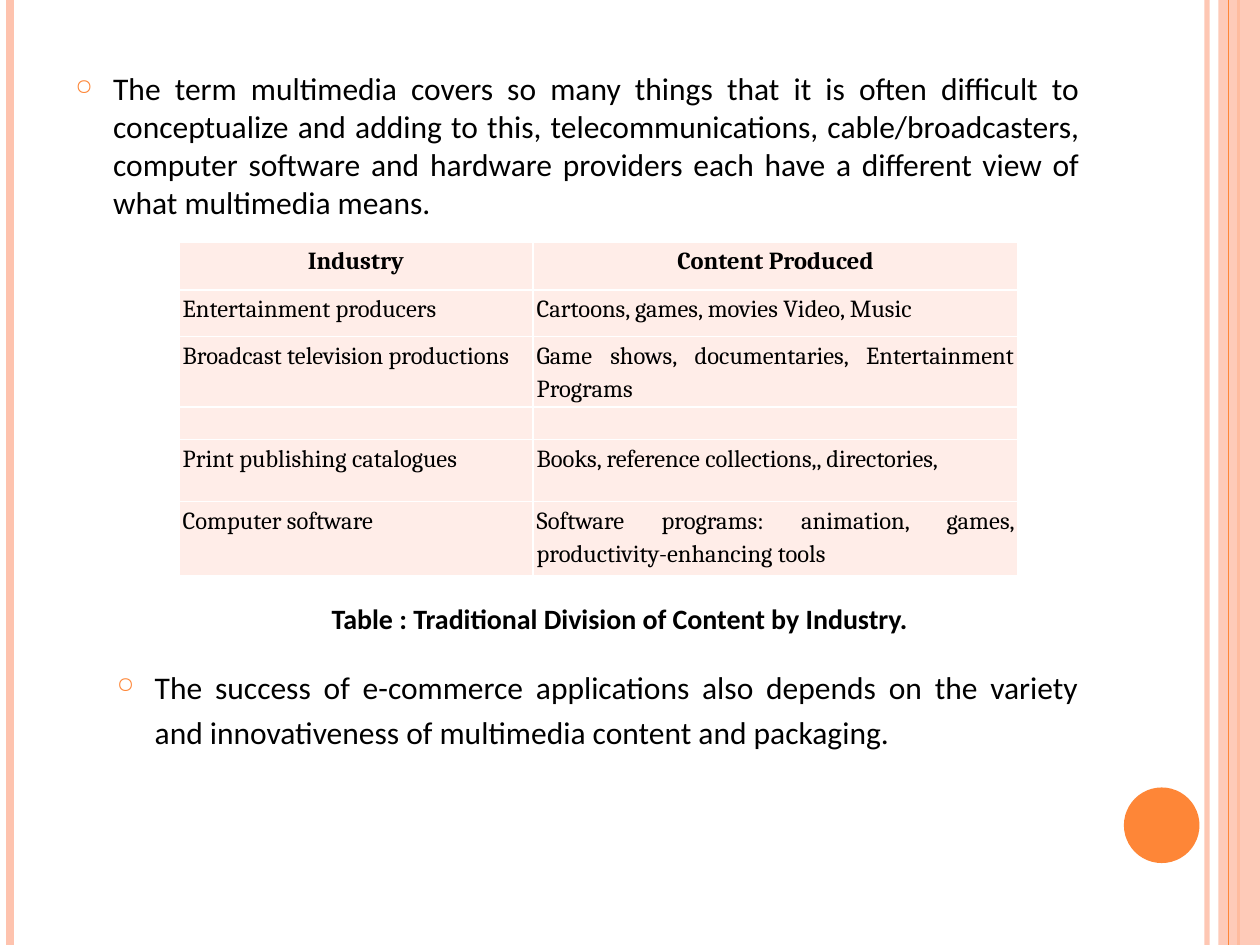
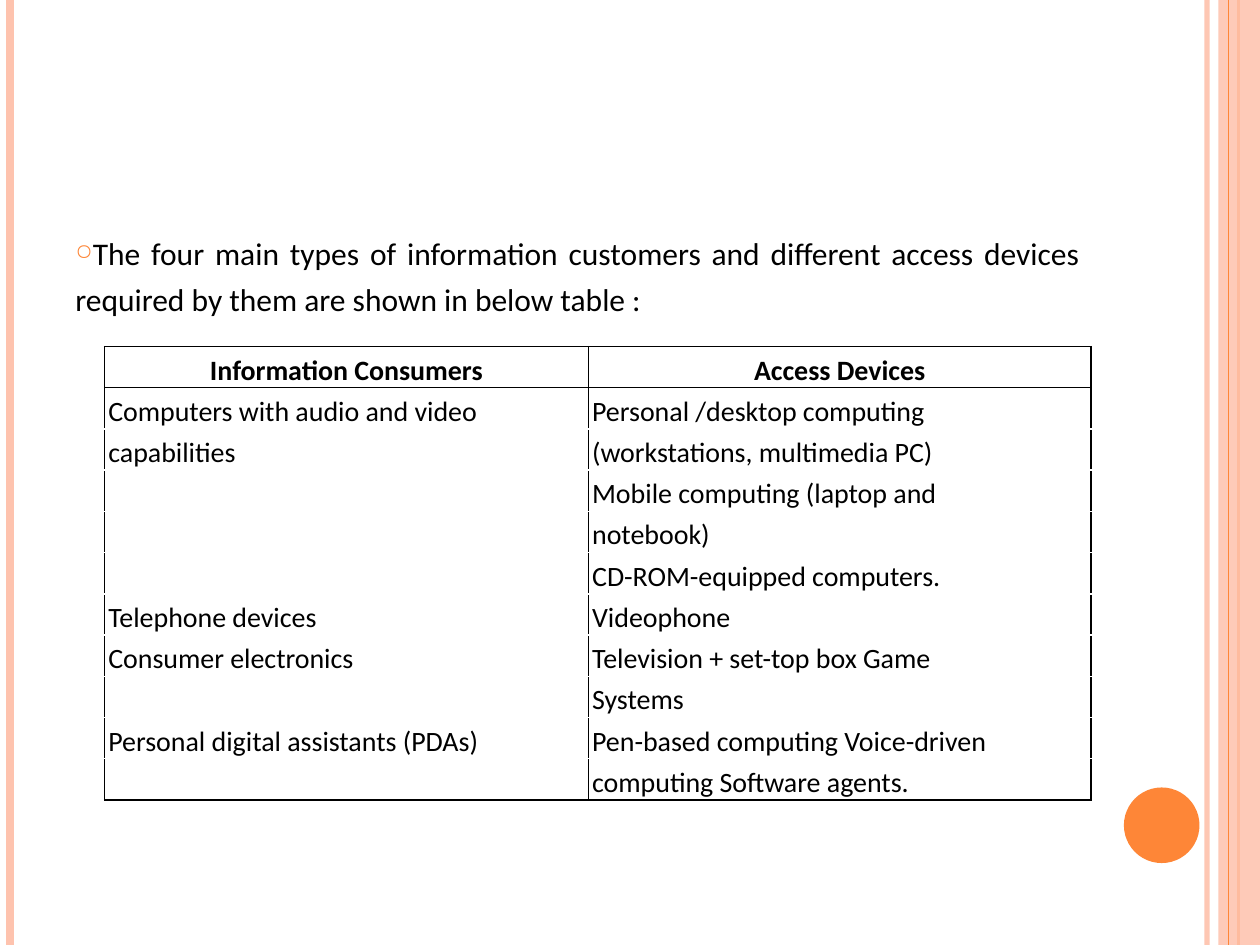
from dataclasses import dataclass
from lxml.etree import SubElement as Sub
from pptx import Presentation
from pptx.dml.color import RGBColor as RGB
from pptx.enum.shapes import MSO_CONNECTOR as Conn, MSO_SHAPE as Shape
from pptx.enum.text import PP_ALIGN as Align
from pptx.oxml.ns import qn
from pptx.util import Inches, Pt


@dataclass(frozen=True)
class Theme:
    peach: str = "FEC3AE"
    orange: str = "FE8637"
    blush: str = "FFEDE8"
    white: str = "FFFFFF"
    black: str = "000000"
    sans: str = "Calibri"
    serif: str = "Cambria"
    body: int = 18
    label: int = 16
    small: int = 14
    lead: float = 1.2
    after: int = 10


T = Theme()
WIDE, HIGH = 10, 7.5

INTRO = (
    "The term multimedia covers so many things that it is often difficult to "
    "conceptualize and adding to this, telecommunications, cable/broadcasters, "
    "computer software and hardware providers each have a different view of "
    "what multimedia means."
)
CAPTION = "Table : Traditional Division of Content by Industry."
SUCCESS = (
    "The success of e-commerce applications also depends on the variety "
    "and innovativeness of multimedia content and packaging."
)
TYPES = (
    "The four main types of information customers and different access devices "
    "required by them are shown in below table :"
)
CONTENT = [
    ("Industry", "Content Produced"),
    ("Entertainment producers", "Cartoons, games, movies Video, Music"),
    ("Broadcast television productions",
     "Game shows, documentaries, Entertainment Programs"),
    ("", ""),
    ("Print publishing catalogues", "Books, reference collections,, directories,"),
    ("Computer software",
     "Software programs: animation, games, productivity-enhancing tools"),
]
DEVICES = [
    ("Information Consumers", "Access Devices"),
    ("Computers with audio and video", "Personal /desktop computing"),
    ("capabilities", "(workstations, multimedia PC)"),
    ("", "Mobile computing (laptop and"),
    ("", "notebook)"),
    ("", "CD-ROM-equipped computers."),
    ("Telephone devices", "Videophone"),
    ("Consumer electronics", "Television + set-top box Game"),
    ("", "Systems"),
    ("Personal digital assistants (PDAs)", "Pen-based computing Voice-driven"),
    ("", "computing Software agents."),
]


def tint(fill, hue, alpha=100):
    fill.solid()
    fill.fore_color.rgb = RGB.from_string(hue)
    if alpha < 100:
        clr = next(fill._xPr.iter(qn("a:srgbClr")))
        Sub(clr, qn("a:alpha"), val=str(alpha * 1000))


def rule(slide, x, hue, width, alpha=100):
    line = slide.shapes.add_connector(
        Conn.STRAIGHT, Inches(x), 0, Inches(x), Inches(HIGH))
    line.line.width = Pt(width)
    tint(line.line.fill, hue, alpha)
    Sub(line._element.spPr, qn("a:effectLst"))


def block(slide, kind, box, hue, alpha=100):
    shape = slide.shapes.add_shape(kind, *map(Inches, box))
    shape.shadow.inherit = False
    shape.line.fill.background()
    tint(shape.fill, hue, alpha)


def frame(slide):
    rule(slide, 9.58, T.peach, 3, 93)
    rule(slide, 0.08, T.peach, 4.5)
    rule(slide, 9.83, T.orange, 1.5)
    block(slide, Shape.RECTANGLE, (9.67, 0, WIDE - 9.67, HIGH), T.peach, 87)
    rule(slide, 9.75, T.orange, 0.75)
    block(slide, Shape.OVAL, (8.92, 6.25, 0.6, 0.6), T.orange)


def style(para, text, size, face=T.sans, bold=False, align=Align.JUSTIFY,
          lead=T.lead, after=T.after):
    para.text = text
    para.alignment = align
    para.line_spacing = lead
    para.space_after = Pt(after)
    font = para.font
    font.name, font.size, font.bold = face, Pt(size), bold
    font.color.rgb = RGB.from_string(T.black)


def bullet(para, left):
    props = para._p.get_or_add_pPr()
    props.set("marL", str(Inches(left)))
    props.set("indent", str(-Inches(0.3)))
    hue = Sub(props, qn("a:buClr"))
    Sub(hue, qn("a:srgbClr"), val=T.orange)
    Sub(props, qn("a:buSzPct"), val="70000")
    Sub(props, qn("a:buChar"), char="○")


def words(slide, box, text, size=T.body, left=None, before=0, **look):
    area = slide.shapes.add_textbox(*map(Inches, box)).text_frame
    area.word_wrap = True
    para = area.paragraphs[0]
    if left is not None:
        bullet(para, left)
    para.space_before = Pt(before)
    style(para, text, size, **look)


def edge(cell, sides, hue):
    props = cell._tc.get_or_add_tcPr()
    for side in "LRTB":
        if side in sides:
            line = Sub(props, qn("a:ln" + side), w=str(Pt(1)))
            fill = Sub(line, qn("a:solidFill"))
            Sub(fill, qn("a:srgbClr"), val=hue)


def grid(slide, spot, cols, rows, data, size, face, fill, hue, sides, first):
    table = slide.shapes.add_table(
        len(rows), len(cols), *map(Inches, (*spot, sum(cols), sum(rows)))).table
    table.first_row = table.horz_banding = False
    for col, width in zip(table.columns, cols):
        col.width = Inches(width)
    for r, (row, height, texts) in enumerate(zip(table.rows, rows, data)):
        row.height = Inches(height)
        head = r == 0
        for c, (cell, text) in enumerate(zip(row.cells, texts)):
            cell.margin_left = cell.margin_right = Inches(0.03)
            cell.margin_top = cell.margin_bottom = 0
            edge(cell, sides(r), hue)
            tint(cell.fill, fill)
            align = Align.CENTER if head else first if c == 0 else Align.JUSTIFY
            style(cell.text_frame.paragraphs[0], text, size, face, head, align)


def outer(r):
    return {0: "LRTB", 1: "LRT", len(DEVICES) - 1: "LRB"}.get(r, "LR")


def content(slide):
    frame(slide)
    words(slide, (0.5, 0.5, 8.17, 6.58), INTRO, left=0.3, before=6,
          lead=1.0, after=0)
    grid(slide, (1.42, 1.92), (2.81, 3.85), (0.38, 0.37, 0.53, 0.26, 0.49, 0.59),
         CONTENT, T.small, T.serif, T.blush, T.white, lambda r: "LRTB",
         Align.JUSTIFY)
    words(slide, (1.92, 4.67, 6, 0.4), CAPTION, T.label, bold=True,
          align=Align.CENTER)
    words(slide, (0.83, 5.19, 7.83, 0.8), SUCCESS, left=0.3, before=6)


def devices(slide):
    frame(slide)
    words(slide, (0.5, 1.75, 8.17, 5.33), TYPES, left=0)
    count = len(DEVICES)
    grid(slide, (0.83, 2.75), (3.84, 3.99), [3.6 / count] * count, DEVICES,
         T.label, T.sans, T.white, T.black, outer, Align.LEFT)


def main():
    deck = Presentation()
    deck.slide_width, deck.slide_height = Inches(WIDE), Inches(HIGH)
    for build in (content, devices):
        build(deck.slides.add_slide(deck.slide_layouts[6]))
    deck.save("out.pptx")


if __name__ == "__main__":
    main()
